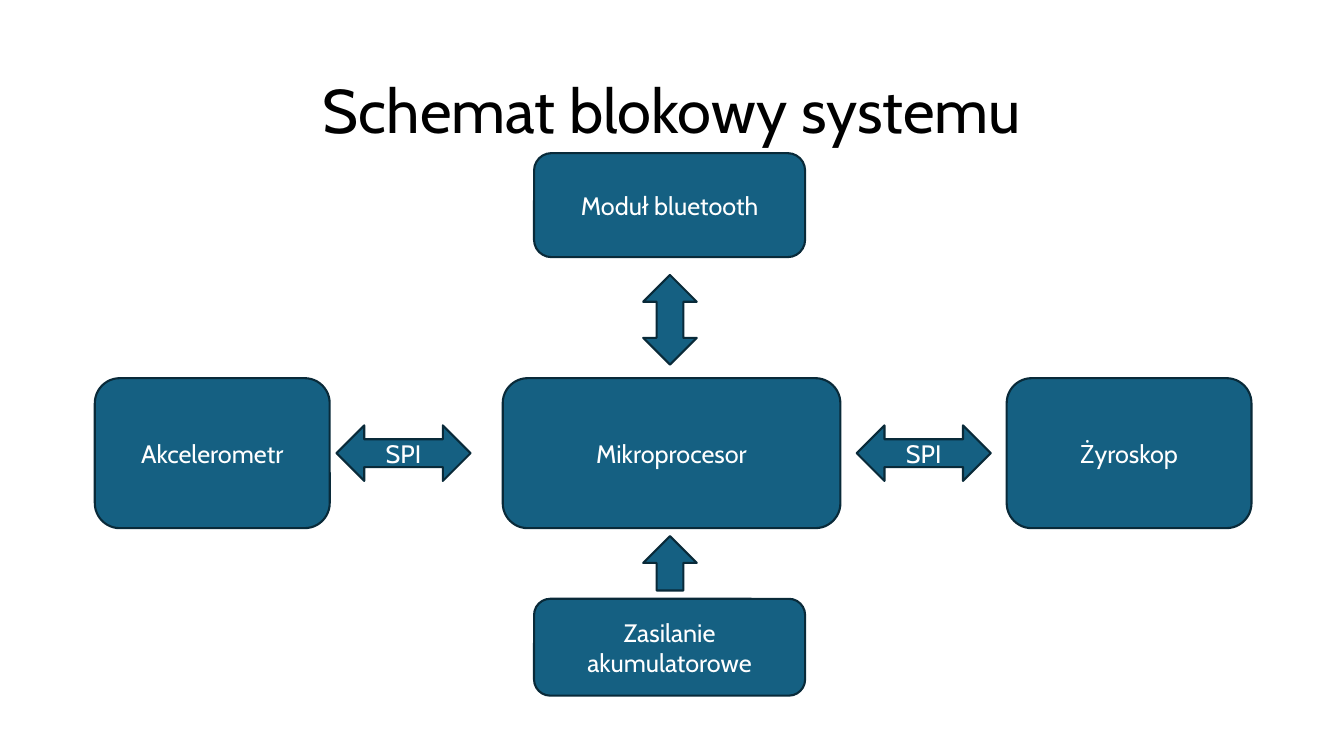
import pptx
import pptx.dml.color
import pptx.enum.shapes
import pptx.enum.text
import pptx.util

Cm = pptx.util.Cm
SHAPES = pptx.enum.shapes.MSO_SHAPE


def color(value):
    return pptx.dml.color.RGBColor.from_string(value)


def write(box, text, size, ink, spacing=1.0):
    """Put one centred line of text in the middle of a box."""
    frame = box.text_frame
    frame.word_wrap = True
    frame.vertical_anchor = pptx.enum.text.MSO_ANCHOR.MIDDLE
    para = frame.paragraphs[0]
    para.alignment = pptx.enum.text.PP_ALIGN.CENTER
    para.line_spacing = spacing
    span = para.add_run()
    span.text = text
    for name, value in {"name": "Cabin", "size": pptx.util.Pt(size)}.items():
        setattr(span.font, name, value)
    span.font.color.rgb = color(ink)


deck = pptx.Presentation()
for name, value in {"slide_width": Cm(33.87), "slide_height": Cm(19.05)}.items():
    setattr(deck, name, value)
page = deck.slides.add_slide(deck.slide_layouts[6])

title = page.shapes.add_textbox(Cm(2.34), Cm(1.02), Cm(29.21), Cm(3.68))
write(title, "Schemat blokowy systemu", 44, "000000", 0.9)

row_top, row_height = 9.53, 3.78
outer_left, outer_width = 13.46, 6.83
arrow_left, arrow_width = 16.21, 1.35
bus_top, bus_width, bus_height = 10.72, 3.38, 1.4

blocks = [
    (SHAPES.ROUNDED_RECTANGLE, 12.67, row_top, 8.51, row_height, "Mikroprocesor"),
    (SHAPES.ROUNDED_RECTANGLE, outer_left, 15.09, outer_width, 2.44,
     "Zasilanie akumulatorowe"),
    (SHAPES.ROUNDED_RECTANGLE, 25.37, row_top, 6.17, row_height, "Żyroskop"),
    (SHAPES.ROUNDED_RECTANGLE, 2.39, row_top, 5.92, row_height, "Akcelerometr"),
    (SHAPES.ROUNDED_RECTANGLE, outer_left, 3.86, outer_width, 2.62, "Moduł bluetooth"),
    (SHAPES.UP_DOWN_ARROW, arrow_left, 6.93, arrow_width, 2.26, ""),
    (SHAPES.LEFT_RIGHT_ARROW, 8.48, bus_top, bus_width, bus_height, "SPI"),
    (SHAPES.LEFT_RIGHT_ARROW, 21.59, bus_top, bus_width, bus_height, "SPI"),
    (SHAPES.UP_ARROW, arrow_left, 13.51, arrow_width, 1.37, ""),
]
for kind, left, top, width, height, label in blocks:
    block = page.shapes.add_shape(kind, Cm(left), Cm(top), Cm(width), Cm(height))
    block.shadow.inherit = False
    block.fill.solid()
    block.fill.fore_color.rgb = color("156082")
    block.line.color.rgb = color("092A39")
    block.line.width = pptx.util.Pt(1.5)
    if label:
        write(block, label, 18, "FFFFFF")

deck.save("out.pptx")
